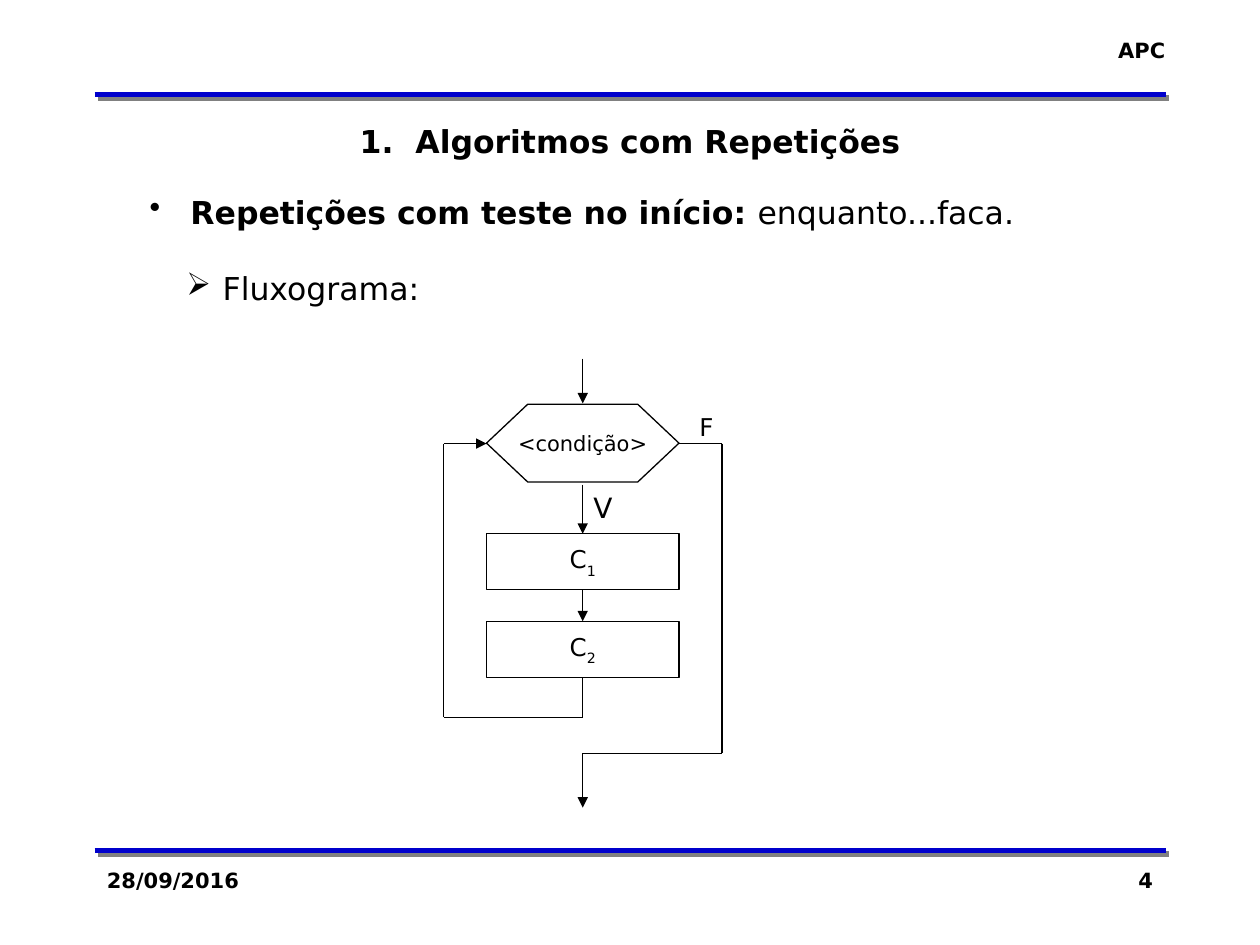
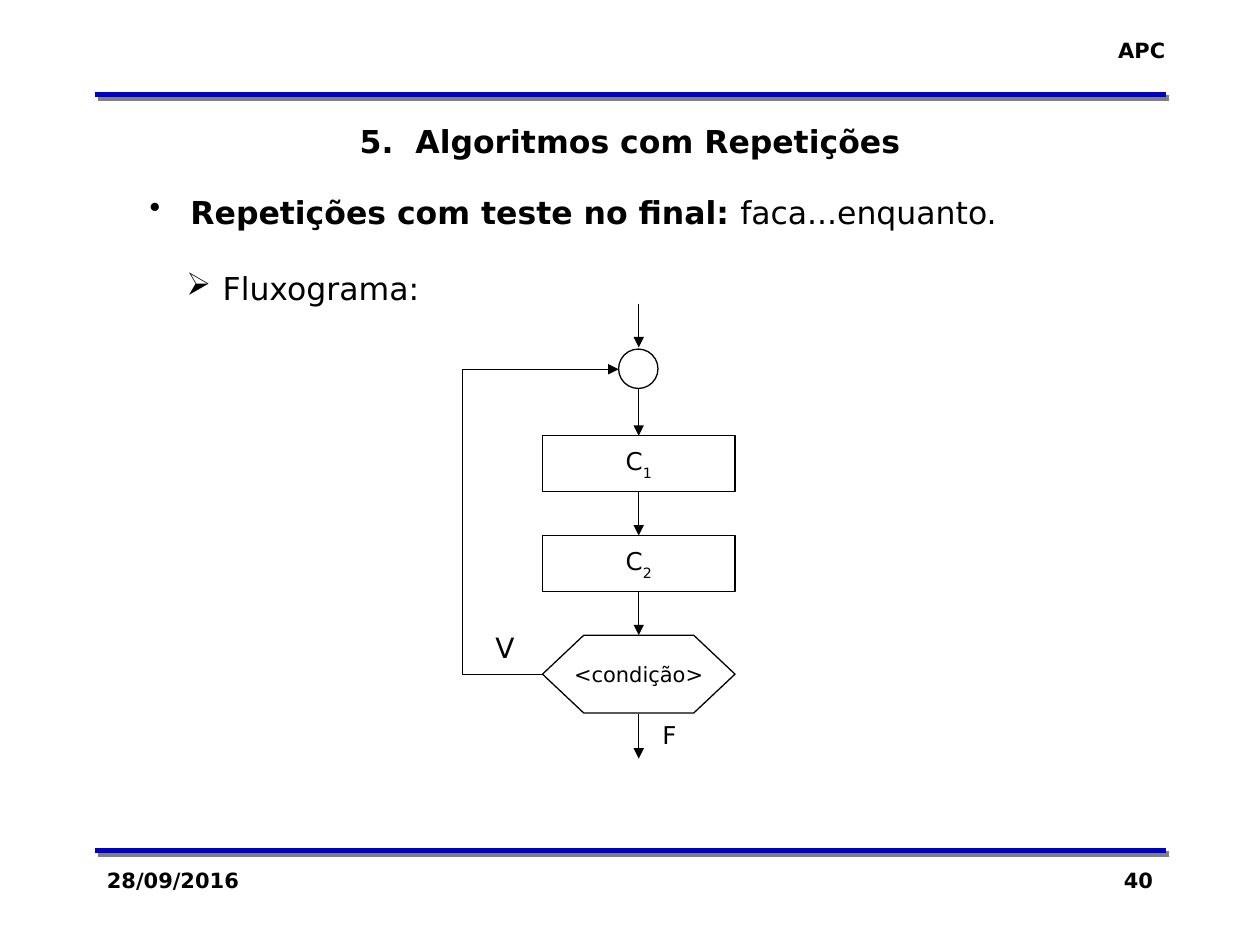
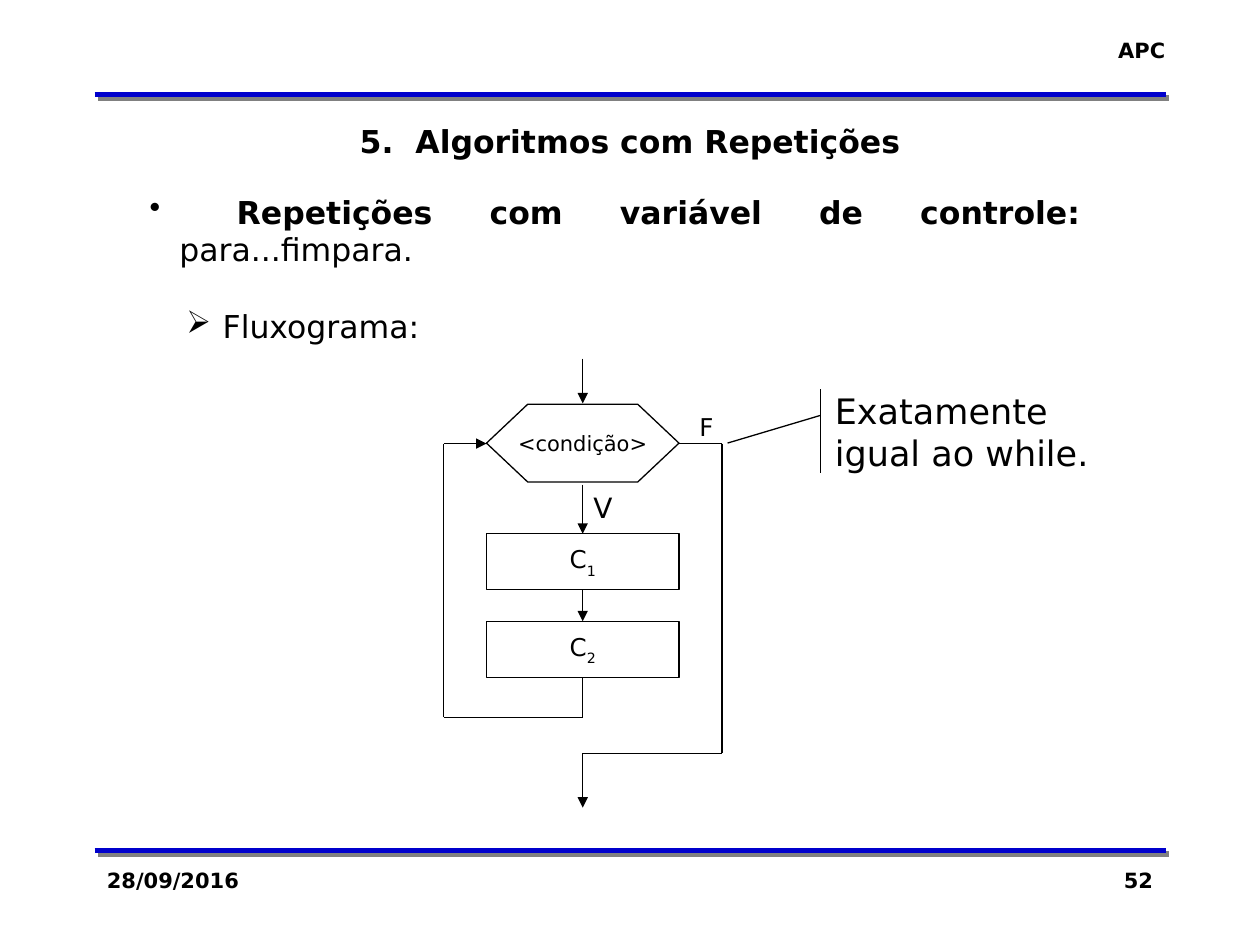
import dataclasses

import lxml.etree
import pptx
import pptx.dml.color
import pptx.enum.shapes
import pptx.enum.text
import pptx.oxml.ns
import pptx.util

Pt = pptx.util.Pt
qn = pptx.oxml.ns.qn
Align = pptx.enum.text.PP_ALIGN
Anchor = pptx.enum.text.MSO_ANCHOR
Shape = pptx.enum.shapes.MSO_SHAPE
STRAIGHT = pptx.enum.shapes.MSO_CONNECTOR.STRAIGHT


@dataclasses.dataclass(frozen=True)
class Theme:
    font: str = "DejaVu Sans"
    ink = pptx.dml.color.RGBColor.from_string("000000")
    paper = pptx.dml.color.RGBColor.from_string("FFFFFF")
    band = pptx.dml.color.RGBColor.from_string("0000CC")
    band_shadow: str = "808080"
    small: int = 12
    step: int = 14
    label: int = 16
    heading: int = 18
    note: int = 20
    thin: float = 0.75
    thick: float = 3


theme = Theme()


def write_text(shape, paragraphs, size, **frame_format):
    """Each paragraph is (format values, bullet, runs); each run is (text, bold, baseline)."""
    frame = shape.text_frame
    for name, value in ({"word_wrap": True} | frame_format).items():
        setattr(frame, name, value)
    for index, (paragraph_format, bullet, runs) in enumerate(paragraphs):
        paragraph = frame.add_paragraph() if index else frame.paragraphs[0]
        if bullet:
            character, margin, indent = bullet
            properties = paragraph._p.get_or_add_pPr()
            properties.set("marL", str(Pt(margin)))
            properties.set("indent", str(Pt(indent)))
            lxml.etree.SubElement(properties, qn("a:buChar"), char=character)
        for name, value in paragraph_format.items():
            setattr(paragraph, name, value)
        for text, bold, baseline in runs:
            run = paragraph.add_run()
            run.text = text
            for name, value in {"name": theme.font, "size": Pt(size), "bold": bold}.items():
                setattr(run.font, name, value)
            run.font.color.rgb = theme.ink
            if baseline:
                run._r.get_or_add_rPr().set("baseline", str(baseline))


def add_route(slide, points, arrow=False, start=None, end=None, color=theme.ink, width=theme.thin):
    """Draw straight segments; start is left at its bottom, end is entered at its top."""
    connectors = []
    for (x1, y1), (x2, y2) in zip(points, points[1:]):
        connector = slide.shapes.add_connector(STRAIGHT, Pt(x1), Pt(y1), Pt(x2), Pt(y2))
        connector.line.color.rgb = color
        connector.line.width = Pt(width)
        lxml.etree.SubElement(connector._element.spPr, qn("a:effectLst"))
        connectors.append(connector)
    if start is not None:
        connectors[0].begin_connect(start, 2)
    if end is not None:
        connectors[-1].end_connect(end, 0)
    if arrow:
        outline = connectors[-1]._element.spPr.find(qn("a:ln"))
        lxml.etree.SubElement(outline, qn("a:tailEnd"), type="triangle")
    return connectors


# Flowcharts: a route is (points, arrow, index of start step, index of end step)
box_width, step_height, test_height = 110, 32, 44.5
test_first = {
    "left": 278, "test_top": 231, "step_top": 305, "step_pitch": 50, "joint_top": None,
    "routes": [
        ([(333, 205), (333, 230.5)], True, None, None),
        ([(333, 277), (333, 305)], True, None, 0),
        ([(333, 337), (333, 355)], True, 0, 1),
        ([(333, 387), (333, 410), (253.5, 410), (253.5, 253.5), (278, 253.5)], True, 1, None),
        ([(388, 253.5), (412.5, 253.5), (412.5, 430.5), (333, 430.5), (333, 461.5)], True, None, None),
    ],
    "labels": [("V", 332, 277, 26, 27, theme.label), ("F", 392.5, 232, 22, 24.5, theme.step)],
}
test_last = {
    "left": 310, "test_top": 363, "step_top": 249, "step_pitch": 57, "joint_top": 199.5,
    "routes": [
        ([(365, 173.5), (365, 198.5)], True, None, None),
        ([(365, 222), (365, 249)], True, None, 0),
        ([(365, 281), (365, 306)], True, 0, 1),
        ([(365, 338), (365, 363)], True, 1, None),
        ([(365, 408), (365, 433.5)], True, None, None),
        ([(310, 385.5), (264.5, 385.5), (264.5, 211), (353.5, 211)], True, None, None),
    ],
    "labels": [("V", 276, 357, 26, 27, theme.label), ("F", 371.5, 408, 22, 24.5, theme.step)],
}

pages = [
    ("4", "1.  Algoritmos com Repetições", " Repetições com teste no início: ",
     "enquanto...faca.", test_first, []),
    ("40", "5.  Algoritmos com Repetições", " Repetições com teste no final: ",
     "faca...enquanto.", test_last, []),
    ("52", "5.  Algoritmos com Repetições", " Repetições com variável de controle: ",
     "para...fimpara.", test_first, ["Exatamente", "igual ao while."]),
]

presentation = pptx.Presentation()
presentation.slide_width, presentation.slide_height = Pt(720), Pt(540)

for number, title, topic, keywords, chart, note in pages:
    slide = presentation.slides.add_slide(presentation.slide_layouts[6])

    # Bands with their shadow
    for y in (54, 486):
        band = add_route(slide, [(54, y), (666, y)], color=theme.band, width=theme.thick)[0]
        shadow = lxml.etree.SubElement(
            band._element.spPr.find(qn("a:effectLst")), qn("a:outerShdw"),
            dist=str(Pt(2.8)), dir="2700000", algn="ctr", rotWithShape="0")
        lxml.etree.SubElement(shadow, qn("a:srgbClr"), val=theme.band_shadow)

    # Header, footer, title and flowchart labels
    captions = [
        ("APC", 631.5, 18, 41.5, 21.5, theme.small, Align.RIGHT, True, False),
        ("28/09/2016", 54, 492, 150, 36, theme.small, Align.LEFT, True, True),
        (number, 516, 492, 150, 36, theme.small, Align.RIGHT, True, True),
        (title, 54, 66, 612, 29, theme.heading, Align.CENTER, True, True),
    ] + [(*label, Align.LEFT, False, False) for label in chart["labels"]]
    for text, left, top, width, height, size, alignment, bold, wrap in captions:
        caption = slide.shapes.add_textbox(Pt(left), Pt(top), Pt(width), Pt(height))
        write_text(caption, [({"alignment": alignment}, None, [(text, bold, 0)])], size, word_wrap=wrap)

    # Topic and its subitem
    body = slide.shapes.add_textbox(Pt(78.5), Pt(106.5), Pt(546), Pt(73))
    write_text(body, [
        ({"alignment": Align.JUSTIFY}, ("•", 17, -17), [(topic, True, 0), (keywords, False, 0)]),
        ({"level": 1, "space_before": Pt(22)}, ("➢", 36, -15), [(" Fluxograma:", False, 0)]),
    ], theme.heading)

    # Flowchart shapes: condition, commands and joint
    nodes = [(Shape.HEXAGON, chart["left"], chart["test_top"], box_width, test_height,
              [("<condição>", False, 0)], theme.small)]
    for index in range(2):
        nodes.append((Shape.RECTANGLE, chart["left"], chart["step_top"] + index * chart["step_pitch"],
                      box_width, step_height,
                      [("C", False, 0), (str(index + 1), False, -30000)], theme.step))
    if chart["joint_top"]:
        nodes.append((Shape.OVAL, 353.5, chart["joint_top"], 22.5, 22.5, [], theme.step))
    drawn = []
    for kind, left, top, width, height, runs, size in nodes:
        node = slide.shapes.add_shape(kind, Pt(left), Pt(top), Pt(width), Pt(height))
        node.shadow.inherit = False
        node.fill.solid()
        node.fill.fore_color.rgb = theme.paper
        node.line.color.rgb = theme.ink
        node.line.width = Pt(theme.thin)
        if kind == Shape.HEXAGON:
            node.adjustments[0] = 0.53
        if runs:
            write_text(node, [({"alignment": Align.CENTER}, None, runs)], size,
                       word_wrap=False, vertical_anchor=Anchor.MIDDLE)
        drawn.append(node)
    steps = drawn[1:3]

    # Flowchart routes
    for points, arrow, start, end in chart["routes"]:
        add_route(slide, points, arrow,
                  None if start is None else steps[start],
                  None if end is None else steps[end])

    # Callout on the exit
    if note:
        callout = slide.shapes.add_shape(
            Shape.LINE_CALLOUT_1_ACCENT_BAR, Pt(470), Pt(222.5), Pt(108.5), Pt(48))
        callout.shadow.inherit = False
        callout.fill.background()
        callout.line.color.rgb = theme.ink
        callout.line.width = Pt(theme.thin)
        for index, value in enumerate((0.31, -0.01, 0.64, -0.5)):
            callout.adjustments[index] = value
        write_text(callout, [({"alignment": Align.LEFT}, None, [(line, False, 0)]) for line in note],
                   theme.note, word_wrap=False, vertical_anchor=Anchor.MIDDLE)

presentation.save("out.pptx")
